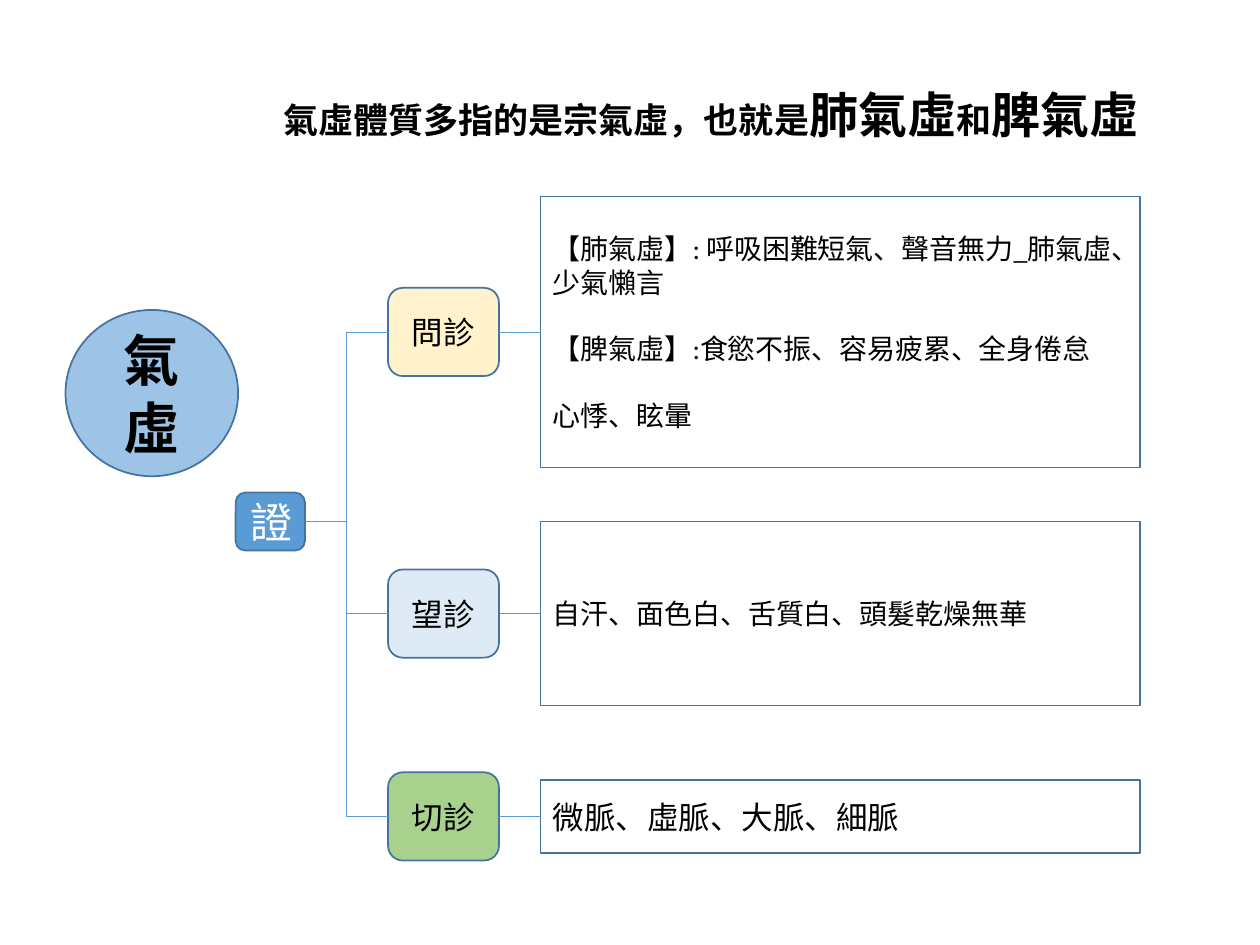
from lxml import etree
from pptx import Presentation
from pptx.dml.color import RGBColor
from pptx.enum.shapes import MSO_CONNECTOR, MSO_SHAPE
from pptx.enum.text import MSO_ANCHOR, PP_ALIGN
from pptx.oxml.ns import qn
from pptx.util import Inches, Pt

ELLIPSE, RECTANGLE = MSO_SHAPE.OVAL, MSO_SHAPE.RECTANGLE
ROUNDED = MSO_SHAPE.ROUNDED_RECTANGLE
STRAIGHT, ELBOW = MSO_CONNECTOR.STRAIGHT, MSO_CONNECTOR.ELBOW
LEFT, CENTER = PP_ALIGN.LEFT, PP_ALIGN.CENTER
MIDDLE = MSO_ANCHOR.MIDDLE
LEFT_SITE, RIGHT_SITE = 1, 3

BLACK = RGBColor(0x00, 0x00, 0x00)
WHITE = RGBColor(0xFF, 0xFF, 0xFF)
OUTLINE = RGBColor(0x43, 0x73, 0x9E)
BLUE = RGBColor(0x5B, 0x9B, 0xD5)
SKY = RGBColor(0x9D, 0xC3, 0xE6)
PALE_BLUE = RGBColor(0xDE, 0xEB, 0xF7)
CREAM = RGBColor(0xFF, 0xF2, 0xCC)
GREEN = RGBColor(0xA9, 0xD1, 0x8E)

LATIN_FONT = "Calibri"
CJK_FONT = "Noto Sans CJK SC"

LABEL_WIDTH, LABEL_HEIGHT = 0.88, 0.7
FINDINGS_OFFSET = 1.21
ROW_LEFT, ROW_WIDTH = 3.08, 5.97

# label, label colour, top, height, size of the findings, findings
DIAGNOSES = [
    ("問診", CREAM, 1.56, 2.15, 16, [
        "【肺氣虛】: 呼吸困難短氣、聲音無力_肺氣虛、少氣懶言",
        "【脾氣虛】:食慾不振、容易疲累、全身倦怠",
        "心悸、眩暈",
    ]),
    ("望診", PALE_BLUE, 4.14, 1.46, 16, ["自汗、面色白、舌質白、頭髮乾燥無華"]),
    ("切診", GREEN, 6.19, 0.58, 18, ["微脈、虛脈、大脈、細脈"]),
]


def add_run(paragraph, text, *, size, font=LATIN_FONT, color=BLACK, bold=False):
    run = paragraph.add_run()
    run.text = text
    run.font.size = Pt(size)
    run.font.name = font
    run.font.bold = bold
    run.font.color.rgb = color
    if font == CJK_FONT:
        latin = run.font._element.find(qn("a:latin"))
        east_asian = etree.Element(qn("a:ea"), typeface=font)
        latin.addnext(east_asian)


def add_node(slide, kind, box, fill, texts, *, align=CENTER, **text_format):
    """Add an outlined shape with one paragraph for each text."""
    shape = slide.shapes.add_shape(kind, *map(Inches, box))
    shape.shadow.inherit = False
    shape.fill.solid()
    shape.fill.fore_color.rgb = fill
    shape.line.color.rgb = OUTLINE
    shape.line.width = Pt(1)
    frame = shape.text_frame
    frame.word_wrap = True
    frame.vertical_anchor = MIDDLE
    for index, text in enumerate(texts):
        paragraph = frame.add_paragraph() if index else frame.paragraphs[0]
        paragraph.alignment = align
        if index:
            paragraph.space_before = Pt(19)
        add_run(paragraph, text, **text_format)
    return shape


def link(slide, kind, source, target):
    """Join the right side of source to the left side of target."""
    connector = slide.shapes.add_connector(kind, 0, 0, 0, 0)
    connector.begin_connect(source, RIGHT_SITE)
    connector.end_connect(target, LEFT_SITE)
    connector.line.color.rgb = BLUE
    connector.line.width = Pt(0.5)
    etree.SubElement(connector._element.spPr, qn("a:effectLst"))


def add_title(slide, box):
    frame = slide.shapes.add_textbox(*map(Inches, box)).text_frame
    frame.word_wrap = True
    for text, size in [("氣虛體質多指的是宗氣虛，也就是", 20), ("肺氣虛", 28),
                       ("和", 20), ("脾氣虛", 28)]:
        add_run(frame.paragraphs[0], text, size=size, font=CJK_FONT, bold=True)


def add_diagnosis(slide, box, name, color, size, findings):
    """Add a label, centred on the box height, and its findings; return the label."""
    left, top, width, height = box
    label_top = top + (height - LABEL_HEIGHT) / 2
    label = add_node(slide, ROUNDED, (left, label_top, LABEL_WIDTH, LABEL_HEIGHT),
                     color, [name], size=18)
    findings_box = (left + FINDINGS_OFFSET, top, width - FINDINGS_OFFSET, height)
    details = add_node(slide, RECTANGLE, findings_box, WHITE, findings,
                       align=LEFT, size=size)
    link(slide, STRAIGHT, label, details)
    return label


def main():
    presentation = Presentation()
    presentation.slide_width, presentation.slide_height = Inches(10), Inches(7.5)
    slide = presentation.slides.add_slide(presentation.slide_layouts[6])
    add_node(slide, ELLIPSE, (0.52, 2.46, 1.37, 1.32), SKY, ["氣虛"],
             size=32, font=CJK_FONT, bold=True)
    pattern = add_node(slide, ROUNDED, (1.87, 3.91, 0.55, 0.46), BLUE, ["證"],
                       size=24, color=WHITE)
    labels = [
        add_diagnosis(slide, (ROW_LEFT, top, ROW_WIDTH, height),
                      name, color, size, findings)
        for name, color, top, height, size, findings in DIAGNOSES
    ]
    for label in labels:
        link(slide, ELBOW, pattern, label)
    add_title(slide, (2.15, 0.62, 7.36, 0.57))
    presentation.save("out.pptx")


if __name__ == "__main__":
    main()
